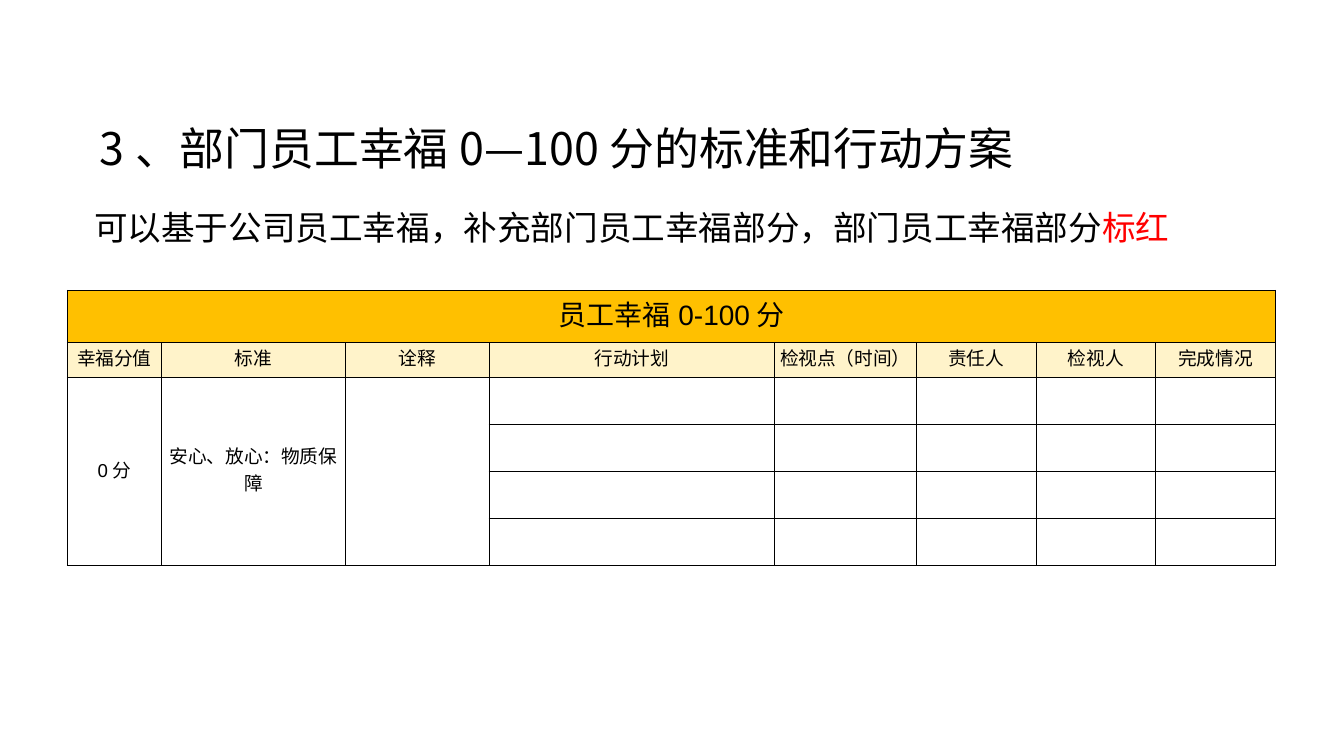
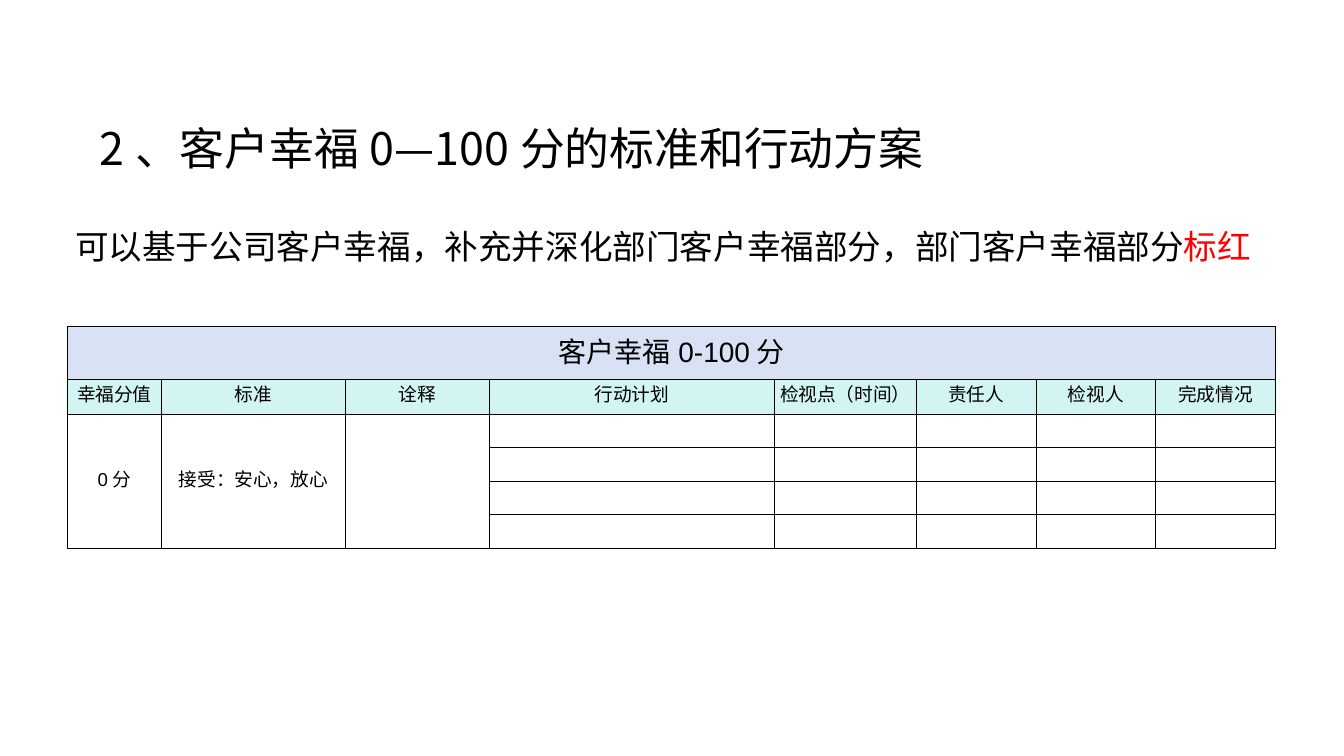
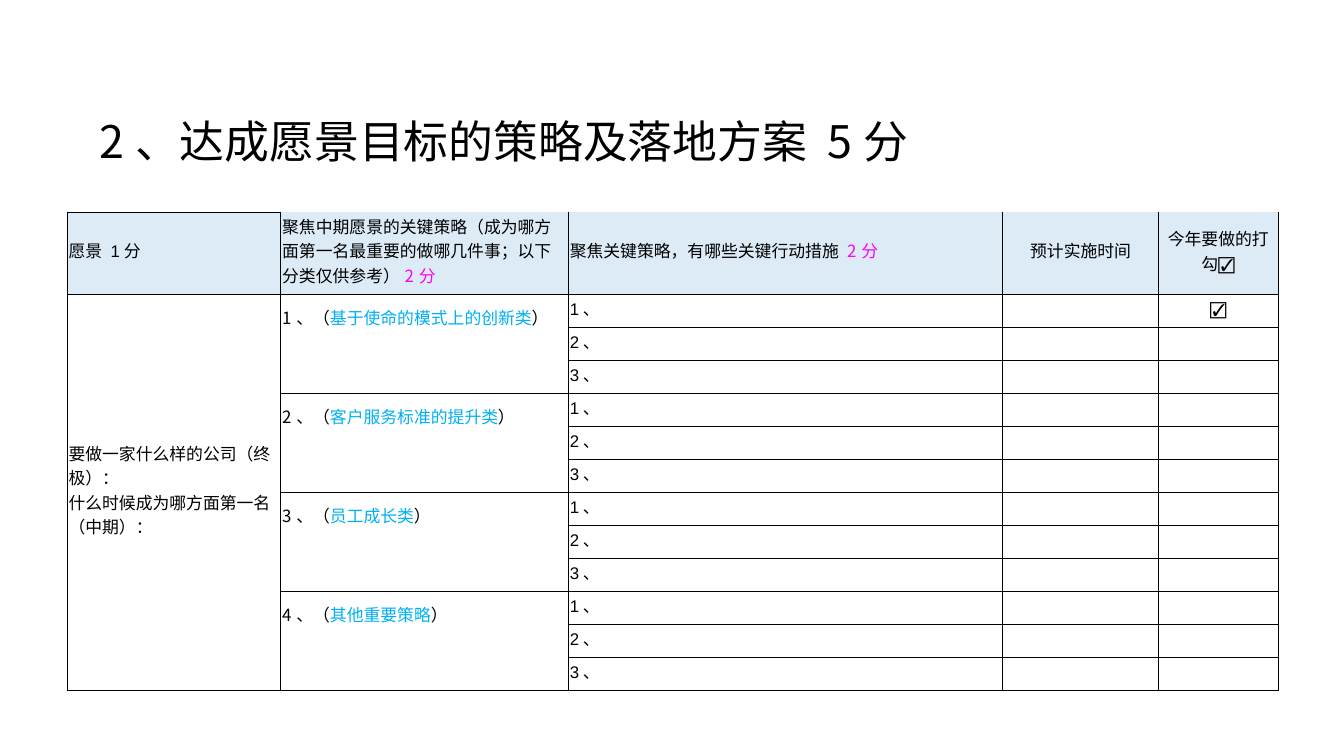
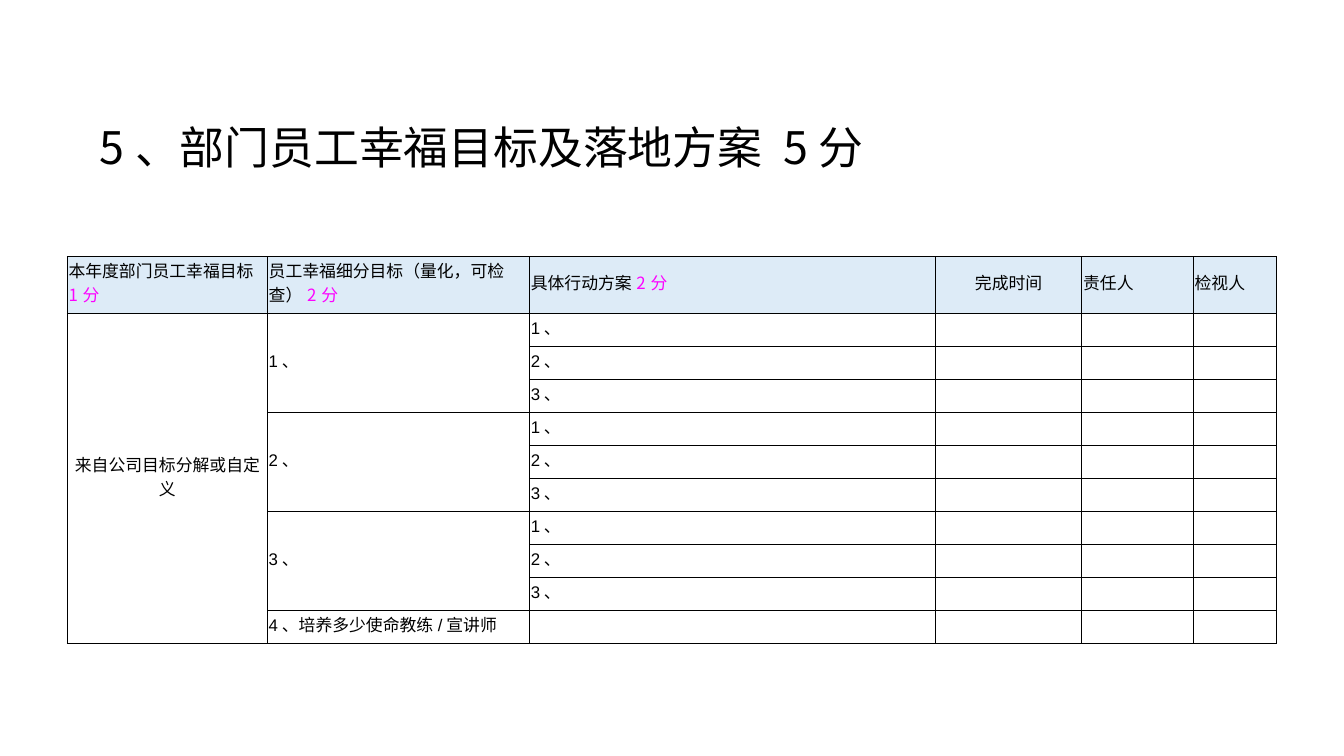
from lxml.etree import SubElement
from pptx import Presentation
from pptx.dml.color import RGBColor
from pptx.enum.text import MSO_ANCHOR, MSO_AUTO_SIZE, PP_ALIGN
from pptx.oxml.ns import qn
from pptx.util import Inches, Pt

SANS, CJK = "Arial", "Noto Sans CJK SC"
BLACK, WHITE, RED = "000000", "FFFFFF", "FF0000"
PINK, CYAN, PALE = "FC02FF", "00B0F0", "DDEBF7"
LEFT, MID = PP_ALIGN.LEFT, PP_ALIGN.CENTER
SIDES = ("L", "R", "T", "B")
HEADS = ("幸福分值", "标准", "诠释", "行动计划", "检视点（时间）", "责任人", "检视人", "完成情况")
STEPS = ("1、", "2、", "3、")


def tint(code):
    return RGBColor.from_string(code)


def style(run, size, face, color):
    font = run.font
    font.size = Pt(size)
    font.name = face
    font.bold = False
    font.color.rgb = tint(color)
    SubElement(run._r.get_or_add_rPr(), qn("a:ea"), typeface=CJK)


def write(para, parts, size, face, align=LEFT):
    para.alignment = align
    for text, color in parts:
        run = para.add_run()
        run.text = text
        style(run, size, face, color)


def inset(frame, gap=0.05):
    frame.margin_left = frame.margin_right = Inches(gap)
    frame.margin_top = frame.margin_bottom = Inches(gap)
    frame.word_wrap = True


def place(shape, box):
    shape.left, shape.top, shape.width, shape.height = map(Inches, box)


def title(deck, text, top, height):
    slide = deck.slides.add_slide(deck.slide_layouts[5])
    shape = slide.shapes.title
    place(shape, (0.69, top, 8.62, height))
    frame = shape.text_frame
    inset(frame)
    frame.auto_size = MSO_AUTO_SIZE.NONE
    frame.vertical_anchor = MSO_ANCHOR.MIDDLE
    para = frame.paragraphs[0]
    para.line_spacing = 0.9
    write(para, [(text, BLACK)], 24, CJK)
    return slide


def hint(slide, text, box):
    frame = slide.shapes.add_textbox(*map(Inches, box)).text_frame
    inset(frame)
    write(frame.paragraphs[0], [(text, BLACK), ("标红", RED)], 18, SANS)


def border(cell, sides=SIDES):
    props = cell._tc.get_or_add_tcPr()
    for spot, side in enumerate(SIDES):
        line = props.makeelement(qn(f"a:ln{side}"), {"w": "6350"})
        if side in sides:
            fill = SubElement(line, qn("a:solidFill"))
            SubElement(fill, qn("a:srgbClr"), val=BLACK)
        else:
            SubElement(line, qn("a:noFill"))
        props.insert(spot, line)


def put(cell, *lines, size=9, face=SANS, align=LEFT):
    frame = cell.text_frame
    for spot, parts in enumerate(lines):
        para = frame.add_paragraph() if spot else frame.paragraphs[0]
        for tail in para._p.findall(qn("a:endParaRPr")):
            para._p.remove(tail)
        if isinstance(parts, str):
            parts = [(parts, BLACK)]
        write(para, parts, size, face, align)


def grid(slide, top, cols, rows, fills, bare=()):
    spots = map(Inches, (0.5, top, sum(cols), sum(rows)))
    table = slide.shapes.add_table(len(rows), len(cols), *spots).table
    table.first_row = table.horz_banding = False
    for col, width in zip(table.columns, cols):
        col.width = Inches(width)
    for y, height in enumerate(rows):
        table.rows[y].height = Inches(height)
        for x in range(len(cols)):
            cell = table.cell(y, x)
            cell.margin_left = cell.margin_right = cell.margin_top = Inches(0.01)
            cell.margin_bottom = Inches(0.05)
            cell.vertical_anchor = MSO_ANCHOR.MIDDLE
            cell.fill.solid()
            cell.fill.fore_color.rgb = tint(fills[y] if y < len(fills) else WHITE)
            border(cell, "LRB" if (y, x) in bare else SIDES)
            SubElement(cell.text_frame.paragraphs[0]._p, qn("a:endParaRPr"), sz="900")
    return table


def span(table, top, left, down, over=1):
    cell = table.cell(top, left)
    cell.merge(table.cell(top + down - 1, left + over - 1))
    return cell


def score(slide, top, name, goal, row, fills):
    cols = (0.7, 1.37, 1.07, 2.12, 1.06, 0.89, 0.89, 0.89)
    table = grid(slide, top, cols, (0.39, 0.26) + (row,) * 4, fills)
    put(span(table, 0, 0, 1, 8), name, size=15, align=MID)
    for x, head in enumerate(HEADS):
        put(table.cell(1, x), head, size=10, align=MID)
    for x, text in enumerate(("0分", goal)):
        put(span(table, 2, x, 4), text, size=10, align=MID)
    span(table, 2, 2, 4)


def steps(table, top):
    for y, text in enumerate(STEPS):
        put(table.cell(top + y, 2), text)


def vision(slide, top):
    cols = (1.59, 2.14, 3.23, 1.16, 0.89)
    table = grid(slide, top, cols, [0.61] + [2.95 / 12] * 12, [PALE],
                 [(0, x) for x in range(1, 5)])
    put(table.cell(0, 0), "愿景 1分")
    put(table.cell(0, 1), [
        ("聚焦中期愿景的关键策略（成为哪方面第一名最重要的做哪几件事；以下分类仅供参考）", BLACK),
        ("2分", PINK)], face=CJK)
    put(table.cell(0, 2), [("聚焦关键策略，有哪些关键行动措施 ", BLACK), ("2分", PINK)], face=CJK)
    put(table.cell(0, 3), "预计实施时间", align=MID)
    put(table.cell(0, 4), "今年要做的打勾☑", face=CJK, align=MID)
    put(span(table, 1, 0, 12), "要做一家什么样的公司（终极）：", "什么时候成为哪方面第一名（中期）：")
    kinds = ("基于使命的模式上的创新类", "客户服务标准的提升类", "员工成长类", "其他重要策略")
    for spot, kind in enumerate(kinds):
        y = 1 + 3 * spot
        cell = span(table, y, 1, 3)
        cell.margin_bottom = Inches(0.41)
        put(cell, [(f"{spot + 1}、（", BLACK), (kind, CYAN), ("）", BLACK)], face=CJK)
        steps(table, y)
    put(table.cell(1, 4), "☑️", face=CJK, align=MID)


def target(slide, top):
    cols = (1.49, 1.95, 3.02, 1.09, 0.83, 0.62)
    table = grid(slide, top, cols, [0.42] + [2.46 / 10] * 10, [PALE])
    heads = (("本年度部门员工幸福目标", "1分"), ("员工幸福细分目标（量化，可检查）", "2分"),
             ("具体行动方案", "2分"))
    for x, (text, mark) in enumerate(heads):
        put(table.cell(0, x), [(text, BLACK), (mark, PINK)], face=CJK)
    put(table.cell(0, 3), "完成时间", align=MID)
    put(table.cell(0, 4), "责任人")
    put(table.cell(0, 5), "检视人")
    put(span(table, 1, 0, 10), "来自公司目标分解或自定义", face=CJK, align=MID)
    for spot, text in enumerate(STEPS):
        y = 1 + 3 * spot
        put(span(table, y, 1, 3), text)
        steps(table, y)
    put(table.cell(10, 1), "4、培养多少使命教练/宣讲师")


def main():
    deck = Presentation()
    deck.slide_width = Inches(10)
    deck.slide_height = deck.slide_width * 9 // 16

    slide = title(deck, "3、部门员工幸福0—100分的标准和行动方案", 0.85, 0.54)
    score(slide, 2.16, "员工幸福0-100分", "安心、放心：物质保障", 0.35,
          ("FFC000", "FFF3CA"))
    hint(slide, "可以基于公司员工幸福，补充部门员工幸福部分，部门员工幸福部分",
         (0.65, 1.49, 8.84, 0.4))

    slide = title(deck, "2、客户幸福0—100分的标准和行动方案", 0.85, 0.54)
    score(slide, 2.43, "客户幸福0-100分", "接受：安心，放心", 0.25,
          ("D9E1F4", "D2F4F2"))
    hint(slide, "可以基于公司客户幸福，补充并深化部门客户幸福部分，部门客户幸福部分",
         (0.51, 1.63, 9.16, 0.4))

    vision(title(deck, "2、达成愿景目标的策略及落地方案 5分", 0.76, 0.63), 1.58)
    target(title(deck, "5、部门员工幸福目标及落地方案 5分", 0.84, 0.55), 1.91)
    deck.save("out.pptx")


if __name__ == "__main__":
    main()
